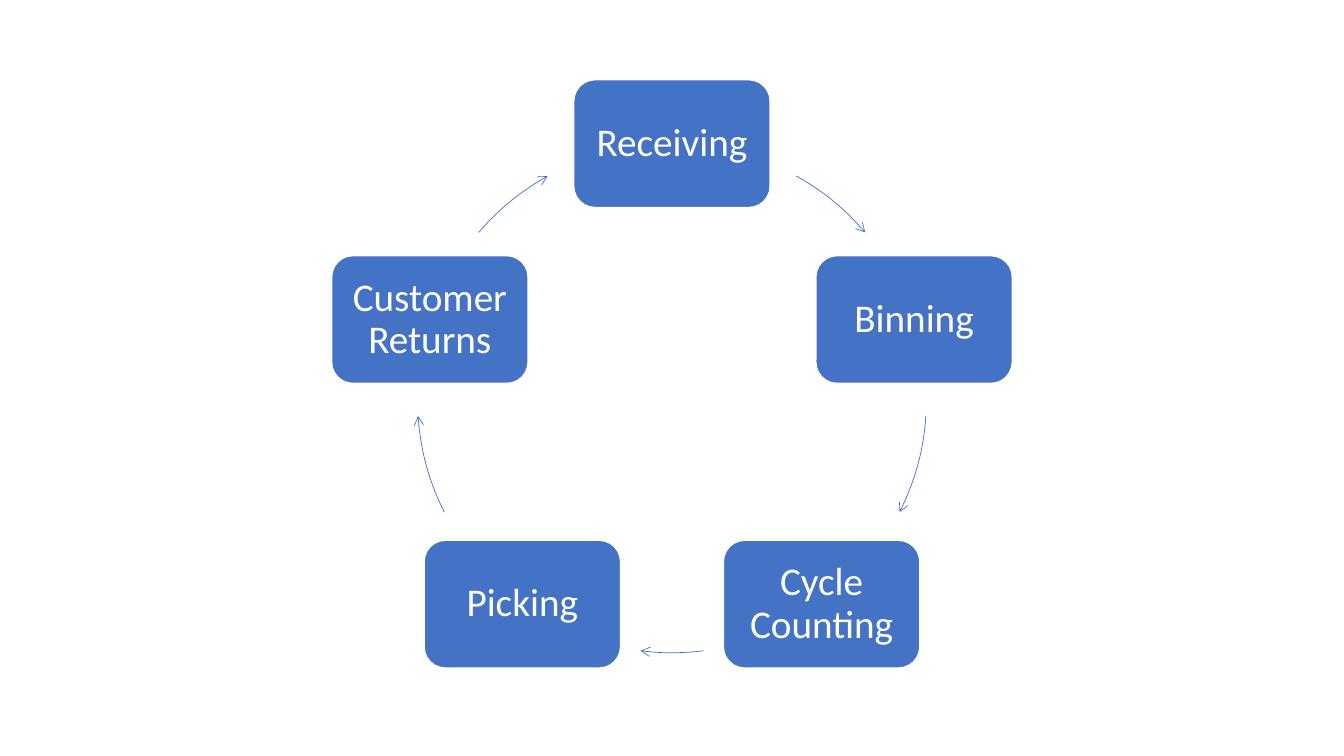
import math

import lxml.etree
import pptx
import pptx.dml.color
import pptx.enum.shapes
import pptx.enum.text
import pptx.oxml.ns
import pptx.util

Cm, Pt = pptx.util.Cm, pptx.util.Pt
SHAPE = pptx.enum.shapes.MSO_SHAPE
COLORS = {"blue": "4472C4", "white": "FFFFFF"}
STEPS = ["Receiving", "Binning", "Cycle Counting", "Picking", "Customer Returns"]
# Start and end of each arrow, in degrees clockwise from the top
ARCS = [(29.25, 49.4), (94, 116.6), (172.9, 187.1), (243.4, 266), (310.6, 330.75)]


def color(name):
    """Return the named colour."""
    return pptx.dml.color.RGBColor.from_string(COLORS[name])


def add_step(slide, box, label):
    """Add one rounded step that fills the box."""
    step = slide.shapes.add_shape(SHAPE.ROUNDED_RECTANGLE, *map(Cm, box))
    step.shadow.inherit = False
    step.fill.solid()
    step.fill.fore_color.rgb = color("blue")
    step.line.color.rgb = color("white")
    step.line.width = Pt(1)
    frame = step.text_frame
    frame.word_wrap = True
    frame.vertical_anchor = pptx.enum.text.MSO_ANCHOR.MIDDLE
    frame.margin_left = frame.margin_right = Cm(0.3)
    frame.margin_top = frame.margin_bottom = Cm(0.3)
    para = frame.paragraphs[0]
    para.text = label
    para.alignment = pptx.enum.text.PP_ALIGN.CENTER
    para.line_spacing = 0.9
    para.font.name = "Calibri"
    para.font.size = Pt(28)
    para.font.color.rgb = color("white")


def add_arrow(slide, box, start, end):
    """Add a curved arrow along the circle inside the box."""
    arrow = slide.shapes.add_shape(SHAPE.ARC, *map(Cm, box))
    arrow.shadow.inherit = False
    arrow.fill.background()
    arrow.line.color.rgb = color("blue")
    arrow.line.width = Pt(0.5)
    for i, angle in enumerate((start, end)):
        # Arc angles run from the right, in 60000ths of a degree
        arrow.adjustments[i] = (angle - 90) % 360 * 0.6
    qn = pptx.oxml.ns.qn
    line = arrow.element.spPr.find(qn("a:ln"))
    lxml.etree.SubElement(line, qn("a:tailEnd"), type="arrow")


def add_cycle(slide, box, wide, high):
    """Place the steps and arrows around the circle inside the box."""
    left, top, size, _ = box
    radius = size / 2
    for i, (label, arc) in enumerate(zip(STEPS, ARCS)):
        turn = math.tau * i / len(STEPS)
        x = left + radius + radius * math.sin(turn) - wide / 2
        y = top + radius - radius * math.cos(turn) - high / 2
        add_step(slide, (x, y, wide, high), label)
        add_arrow(slide, box, *arc)


deck = pptx.Presentation()
deck.slide_width, deck.slide_height = Cm(33.87), Cm(19.05)
slide = deck.slides.add_slide(deck.slide_layouts[6])
add_cycle(slide, (10.52, 3.62, 12.83, 12.83), 4.95, 3.22)
deck.save("out.pptx")
